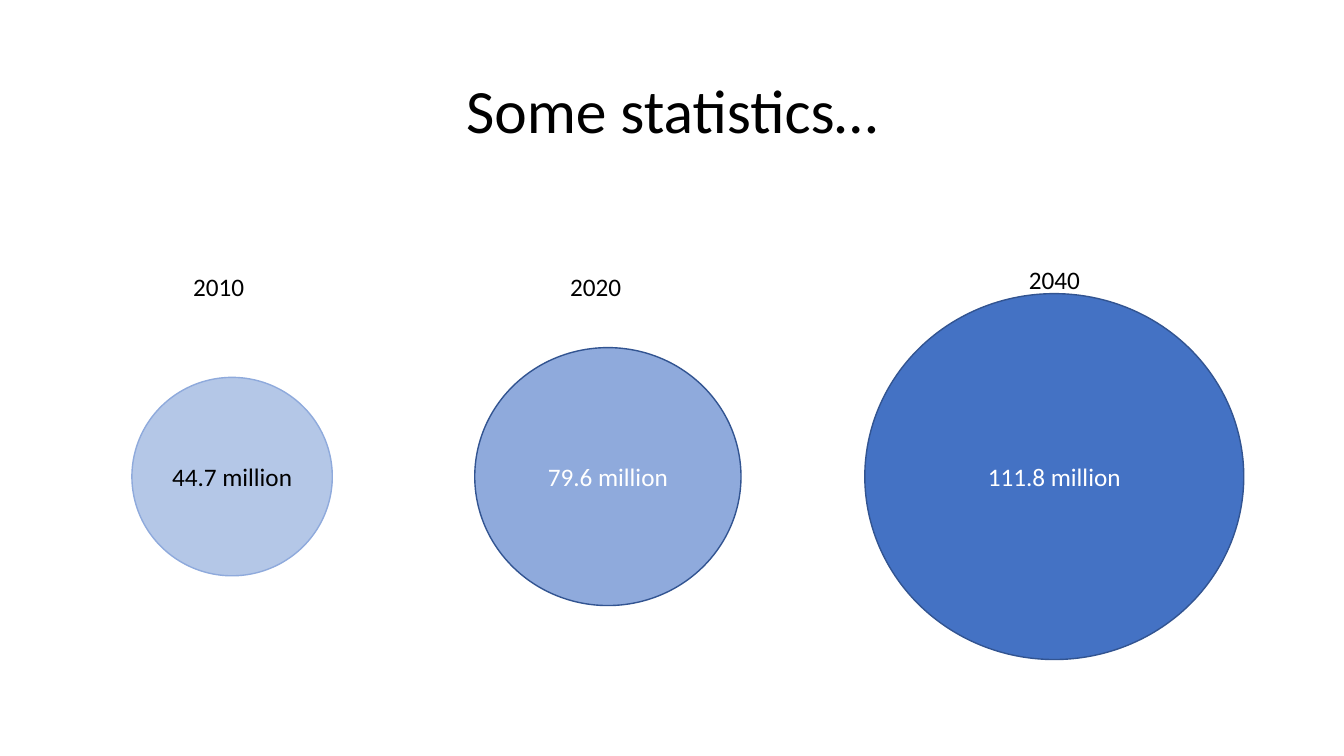
from pptx import Presentation
from pptx.dml.color import RGBColor
from pptx.enum import shapes, text
from pptx.util import Cm, Pt

TITLE = "Some statistics…"
FONT = "Calibri"
CIRCLE_MIDDLE = 12.01
LABEL_WIDTH, LABEL_HEIGHT = 1.8, 1.02

# Lengths in cm: circle centre, circle size, label centre and label top
STATISTICS = [
    dict(year="2010", value="44.7 million", centre=5.85, size=(5.05, 5.0),
         label=(5.52, 6.71), fill="B4C7E7", line="8FAADC", ink="000000"),
    dict(year="2020", value="79.6 million", centre=15.32, size=(6.71, 6.5),
         label=(15.02, 6.71), fill="8FAADC", line="325491", ink="FFFFFF"),
    dict(year="2040", value="111.8 million", centre=26.57, size=(9.55, 9.22),
         label=(26.58, 6.53), fill="4472C4", line="325491", ink="FFFFFF"),
]


def colour(value):
    return RGBColor.from_string(value)


def write(shape, words, size, ink, align):
    para = shape.text_frame.paragraphs[0]
    para.alignment = align
    span = para.add_run()
    span.text = words
    span.font.name = FONT
    span.font.size = Pt(size)
    span.font.color.rgb = colour(ink)
    return para


def add_circle(page, item):
    width, height = item["size"]
    circle = page.shapes.add_shape(
        shapes.MSO_SHAPE.OVAL,
        Cm(item["centre"] - width / 2), Cm(CIRCLE_MIDDLE - height / 2),
        Cm(width), Cm(height))
    circle.shadow.inherit = False
    circle.fill.solid()
    circle.fill.fore_color.rgb = colour(item["fill"])
    circle.line.color.rgb = colour(item["line"])
    circle.line.width = Pt(1)
    circle.text_frame.word_wrap = True
    circle.text_frame.vertical_anchor = text.MSO_ANCHOR.MIDDLE
    write(circle, item["value"], 18, item["ink"], text.PP_ALIGN.CENTER)


def add_year(page, item):
    centre, top = item["label"]
    box = page.shapes.add_textbox(Cm(centre - LABEL_WIDTH / 2), Cm(top),
                                  Cm(LABEL_WIDTH), Cm(LABEL_HEIGHT))
    box.text_frame.word_wrap = False
    box.text_frame.auto_size = text.MSO_AUTO_SIZE.SHAPE_TO_FIT_TEXT
    write(box, item["year"], 18, "000000", text.PP_ALIGN.LEFT)


def main():
    deck = Presentation()
    deck.slide_width, deck.slide_height = Cm(33.87), Cm(19.05)
    page = deck.slides.add_slide(deck.slide_layouts[5])

    # Title
    title = page.shapes.title
    title.left, title.top = Cm(2.33), Cm(1.01)
    title.width, title.height = Cm(29.21), Cm(3.68)
    title.text_frame.vertical_anchor = text.MSO_ANCHOR.MIDDLE
    heading = write(title, TITLE, 44, "000000", text.PP_ALIGN.CENTER)
    heading.line_spacing = 0.9

    # Circles with their years
    for item in STATISTICS:
        add_circle(page, item)
        add_year(page, item)

    deck.save("out.pptx")


if __name__ == "__main__":
    main()
